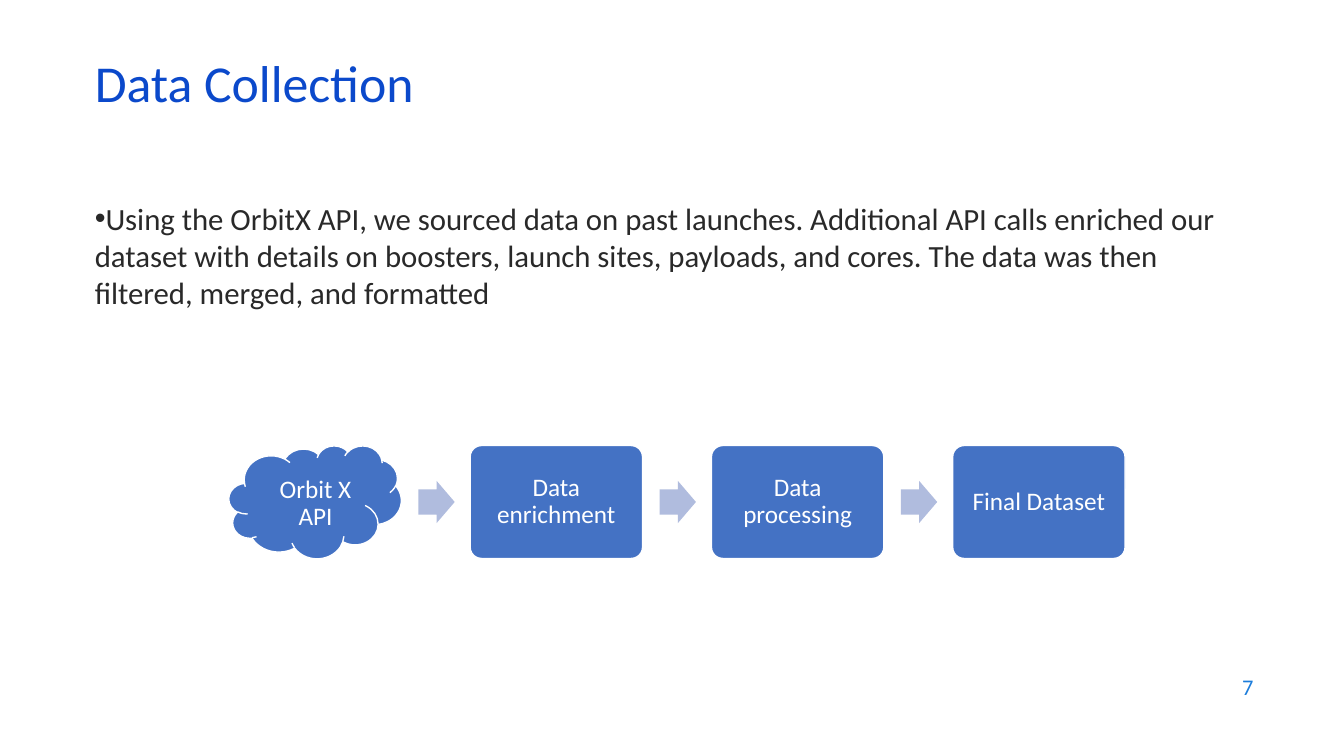
from dataclasses import dataclass

from lxml.etree import SubElement
from pptx import Presentation
from pptx.dml.color import RGBColor
from pptx.enum.shapes import MSO_SHAPE as Shape
from pptx.enum.text import MSO_ANCHOR as Anchor, MSO_AUTO_SIZE as AutoSize, PP_ALIGN as Align
from pptx.oxml.ns import qn
from pptx.util import Inches, Pt


@dataclass(frozen=True)
class Theme:
    font: str = "Calibri"
    title: str = "0B49CB"
    body: str = "292929"
    number: str = "1C7DDB"
    step: str = "4472C4"
    arrow: str = "B0BCDE"
    white: str = "FFFFFF"
    title_size: int = 37
    body_size: int = 22
    step_size: int = 18
    number_size: int = 16


theme = Theme()


def write(shape, text, size, color, align=Align.LEFT, anchor=Anchor.MIDDLE):
    frame = shape.text_frame
    frame.word_wrap = True
    frame.auto_size = AutoSize.NONE
    frame.vertical_anchor = anchor
    paragraph = frame.paragraphs[0]
    paragraph.alignment = align
    paragraph.space_before = Pt(0)
    run = paragraph.add_run()
    run.text = text
    run.font.name = theme.font
    run.font.size = Pt(size)
    run.font.color.rgb = RGBColor.from_string(color)
    return paragraph


def add_block(kind, left, top, width, height, fill):
    shape = slide.shapes.add_shape(kind, Inches(left), Inches(top), Inches(width), Inches(height))
    shape.shadow.inherit = False
    shape.fill.solid()
    shape.fill.fore_color.rgb = RGBColor.from_string(fill)
    return shape


presentation = Presentation()
presentation.slide_width, presentation.slide_height = Inches(13.33), Inches(7.5)
slide = presentation.slides.add_slide(presentation.slide_layouts[1])

# Title
title = slide.shapes.title
title.left, title.top, title.width, title.height = map(Inches, (0.84, 0.59, 11.5, 0.6))
write(title, "Data Collection", theme.title_size, theme.title).line_spacing = 0.7

# Summary bullet, flush with its wrapped lines
body = slide.placeholders[1]
body.left, body.top, body.width, body.height = map(Inches, (0.84, 1.93, 11.5, 1.21))
summary = write(
    body,
    "Using the OrbitX API, we sourced data on past launches. Additional API calls enriched our "
    "dataset with details on boosters, launch sites, payloads, and cores. The data was then "
    "filtered, merged, and formatted",
    theme.body_size, theme.body, anchor=Anchor.TOP,
)
properties = summary._p.get_or_add_pPr()
properties.set("marL", "0")
properties.set("indent", "0")
SubElement(properties, qn("a:buChar")).set("char", "•")

# Process flow: a cloud source, then rounded steps joined by arrows
steps = ["Orbit X API", "Data enrichment", "Data processing", "Final Dataset"]
flow_left, flow_top, pitch = 2.27, 4.42, 2.393
step_width, step_height = 1.71, 1.12
arrow_width, arrow_height, arrow_offset = 0.36, 0.42, 1.88

for index, label in enumerate(steps):
    left = flow_left + index * pitch
    kind = Shape.ROUNDED_RECTANGLE if index else Shape.CLOUD
    step = add_block(kind, left, flow_top, step_width, step_height, theme.step)
    step.line.color.rgb = RGBColor.from_string(theme.white)
    step.line.width = Pt(1)
    write(step, label, theme.step_size, theme.white, Align.CENTER).line_spacing = 0.9
    frame = step.text_frame
    if index:
        step.adjustments[0] = 0.1
        margins = (0.07, 0.07, 0.07, 0.07)
    else:
        margins = (0.19, 0.15, 0.06, 0.06)
    (frame.margin_left, frame.margin_top,
     frame.margin_right, frame.margin_bottom) = map(Inches, margins)

    if index < len(steps) - 1:
        arrow_top = flow_top + (step_height - arrow_height) / 2
        arrow = add_block(Shape.RIGHT_ARROW, left + arrow_offset, arrow_top,
                          arrow_width, arrow_height, theme.arrow)
        arrow.adjustments[0], arrow.adjustments[1] = 0.6, 0.5
        arrow.line.fill.background()

# Page number
number = slide.shapes.add_textbox(Inches(9.53), Inches(6.59), Inches(3), Inches(0.44))
write(number, "7", theme.number_size, theme.number, Align.RIGHT)

presentation.save("out.pptx")
